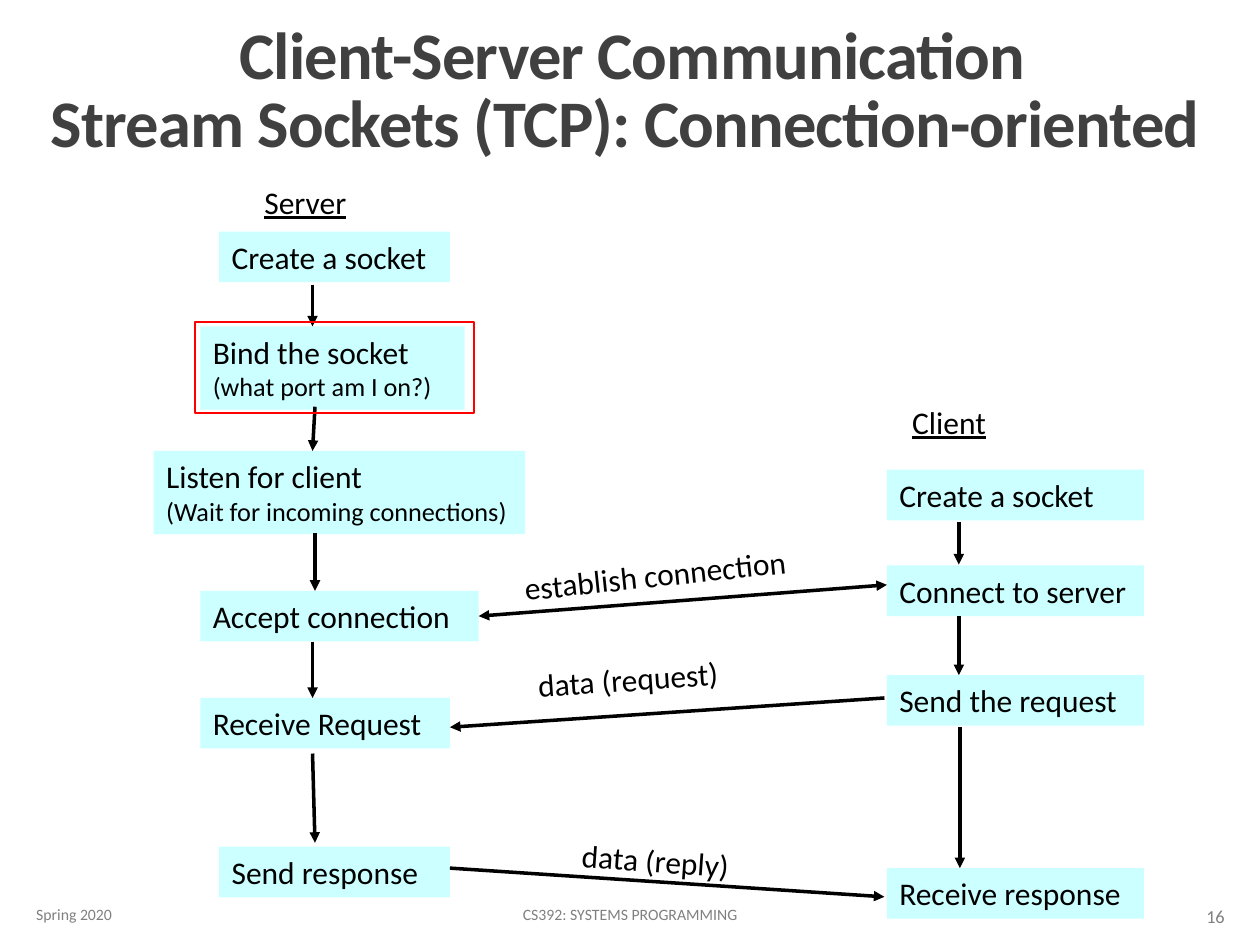
from dataclasses import dataclass

from lxml.etree import SubElement
from pptx import Presentation
from pptx.dml.color import RGBColor
from pptx.enum.shapes import MSO_CONNECTOR as Link, MSO_SHAPE as Preset
from pptx.enum.text import MSO_ANCHOR as Anchor, MSO_AUTO_SIZE as Fit, PP_ALIGN as Align
from pptx.oxml.ns import qn
from pptx.util import Cm, Pt

COLORS = {"title": "404040", "text": "000000", "step": "CCFFFF",
          "arrow": "000000", "highlight": "FF0000", "footer": "808080"}
BODY_SIZE, NOTE_SIZE = 18, 15
LINE_HEIGHT, TWO_LINE_HEIGHT = 1.02, 1.68


@dataclass
class Step:
    left: float
    top: float
    width: float
    text: str
    note: str = ""


@dataclass
class Label:
    left: float
    top: float
    width: float
    text: str
    rotation: float = 0
    underline: bool = False
    wrap: bool = False
    height: float = LINE_HEIGHT


@dataclass
class Arrow:
    x1: float
    y1: float
    x2: float
    y2: float
    both_ends: bool = False


@dataclass
class Footer:
    left: float
    top: float
    width: float
    text: str
    align: Align
    size: float = 9


CLIENT_LEFT, CLIENT_WIDTH = 17.88, 5.18
STEPS = [
    # Server
    Step(4.42, 4.67, 4.65, "Create a socket"),
    Step(4.04, 6.58, 5.33, "Bind the socket", "(what port am I on?)"),
    Step(3.10, 9.09, 7.49, "Listen for client", "(Wait for incoming connections)"),
    Step(4.04, 11.91, 5.61, "Accept connection"),
    Step(4.04, 14.07, 5.03, "Receive Request"),
    Step(4.42, 17.07, 4.65, "Send response"),
    # Client
    *(Step(CLIENT_LEFT, top, CLIENT_WIDTH, text) for top, text in [
        (9.47, "Create a socket"), (11.40, "Connect to server"),
        (13.61, "Send the request"), (17.50, "Receive response")]),
]
ARROWS = [
    # Down the server side
    Arrow(6.30, 5.74, 6.30, 6.58),
    Arrow(6.35, 8.20, 6.30, 9.09),
    Arrow(6.35, 10.74, 6.35, 11.91),
    Arrow(6.30, 12.95, 6.30, 14.07),
    Arrow(6.30, 15.19, 6.35, 16.99),
    # Down the client side
    Arrow(19.33, 10.52, 19.33, 11.38),
    Arrow(19.33, 12.42, 19.33, 13.61),
    Arrow(19.35, 14.66, 19.35, 17.50),
    # Between the two
    Arrow(17.88, 11.79, 9.65, 12.42, both_ends=True),
    Arrow(17.83, 14.07, 9.07, 14.66),
    Arrow(9.07, 17.50, 17.83, 18.08),
]
LABELS = [
    Label(5.08, 3.56, 3.05, "Server", underline=True, height=1.09),
    Label(18.14, 8.00, 3.05, "Client", underline=True, height=1.09),
    Label(10.31, 11.05, 6.35, "establish connection", rotation=-6, wrap=True),
    Label(10.59, 13.18, 4.22, "data (request)", rotation=-4),
    Label(11.48, 16.84, 3.53, "data (reply)", rotation=4.1),
]
FOOTERS = [
    Footer(0.48, 17.93, 5.16, "Spring 2020", Align.LEFT),
    Footer(7.67, 17.93, 10.06, "CS392: SYSTEMS PROGRAMMING", Align.CENTER),
    Footer(22.20, 17.96, 2.74, "16", Align.RIGHT, 10.5),
]


def color(name: str) -> RGBColor:
    return RGBColor.from_string(COLORS[name])


def format_para(para, align: Align = Align.LEFT, ink: str = "text", **formats) -> None:
    para.alignment = align
    for span in para.runs:
        for name, value in {"name": "Calibri", **formats}.items():
            setattr(span.font, name, value)
        span.font.color.rgb = color(ink)


def draw_title(page) -> None:
    title = page.shapes.title
    bounds = {"left": 0.46, "top": 0.2, "width": 24.56, "height": 3.18}
    for name, value in bounds.items():
        setattr(title, name, Cm(value))
    frame = title.text_frame
    frame.text = "Client-Server Communication\vStream Sockets (TCP): Connection-oriented "
    frame.auto_size, frame.vertical_anchor = Fit.NONE, Anchor.BOTTOM
    para = frame.paragraphs[0]
    para.line_spacing = 0.85
    format_para(para, Align.CENTER, "title", size=Pt(38), bold=True)
    for span in para.runs:
        span.font._element.set("spc", "-50")


def draw_step(page, step: Step) -> None:
    height = TWO_LINE_HEIGHT if step.note else LINE_HEIGHT
    box = page.shapes.add_shape(Preset.RECTANGLE, Cm(step.left), Cm(step.top),
                                Cm(step.width), Cm(height))
    box.shadow.inherit = False
    box.fill.solid()
    box.fill.fore_color.rgb = color("step")
    box.line.fill.background()
    frame = box.text_frame
    frame.word_wrap, frame.vertical_anchor = True, Anchor.TOP
    frame.auto_size = Fit.SHAPE_TO_FIT_TEXT
    frame.text = step.text
    format_para(frame.paragraphs[0], size=Pt(BODY_SIZE))
    if step.note:
        para = frame.add_paragraph()
        para.text = step.note
        format_para(para, size=Pt(NOTE_SIZE))


def draw_arrow(page, arrow: Arrow) -> None:
    link = page.shapes.add_connector(Link.STRAIGHT, Cm(arrow.x1), Cm(arrow.y1),
                                     Cm(arrow.x2), Cm(arrow.y2))
    link.line.color.rgb = color("arrow")
    link.line.width = Pt(2)
    outline = link.line._get_or_add_ln()
    for end in ["headEnd", "tailEnd"] if arrow.both_ends else ["tailEnd"]:
        SubElement(outline, qn(f"a:{end}"), type="triangle")
    SubElement(link._element.spPr, qn("a:effectLst"))


def draw_label(page, label: Label) -> None:
    box = page.shapes.add_textbox(Cm(label.left), Cm(label.top),
                                  Cm(label.width), Cm(label.height))
    box.rotation = label.rotation
    frame = box.text_frame
    frame.word_wrap, frame.auto_size = label.wrap, Fit.SHAPE_TO_FIT_TEXT
    frame.text = label.text
    format_para(frame.paragraphs[0], size=Pt(BODY_SIZE), underline=label.underline)


def draw_highlight(page) -> None:
    box = page.shapes.add_shape(Preset.RECTANGLE, Cm(3.94), Cm(6.5), Cm(5.61), Cm(1.83))
    box.shadow.inherit = False
    box.fill.background()
    box.line.color.rgb = color("highlight")
    box.line.width = Pt(1.25)


def draw_footer(page, footer: Footer) -> None:
    box = page.shapes.add_textbox(Cm(footer.left), Cm(footer.top),
                                  Cm(footer.width), Cm(LINE_HEIGHT))
    frame = box.text_frame
    frame.word_wrap, frame.vertical_anchor = True, Anchor.MIDDLE
    frame.text = footer.text
    format_para(frame.paragraphs[0], footer.align, "footer", size=Pt(footer.size))


def main() -> None:
    deck = Presentation()
    deck.slide_width, deck.slide_height = Cm(25.4), Cm(19.05)
    page = deck.slides.add_slide(deck.slide_layouts.get_by_name("Title Only"))
    draw_title(page)
    for draw, items in [(draw_step, STEPS), (draw_arrow, ARROWS), (draw_label, LABELS)]:
        for item in items:
            draw(page, item)
    draw_highlight(page)
    for footer in FOOTERS:
        draw_footer(page, footer)
    deck.save("out.pptx")


if __name__ == "__main__":
    main()
